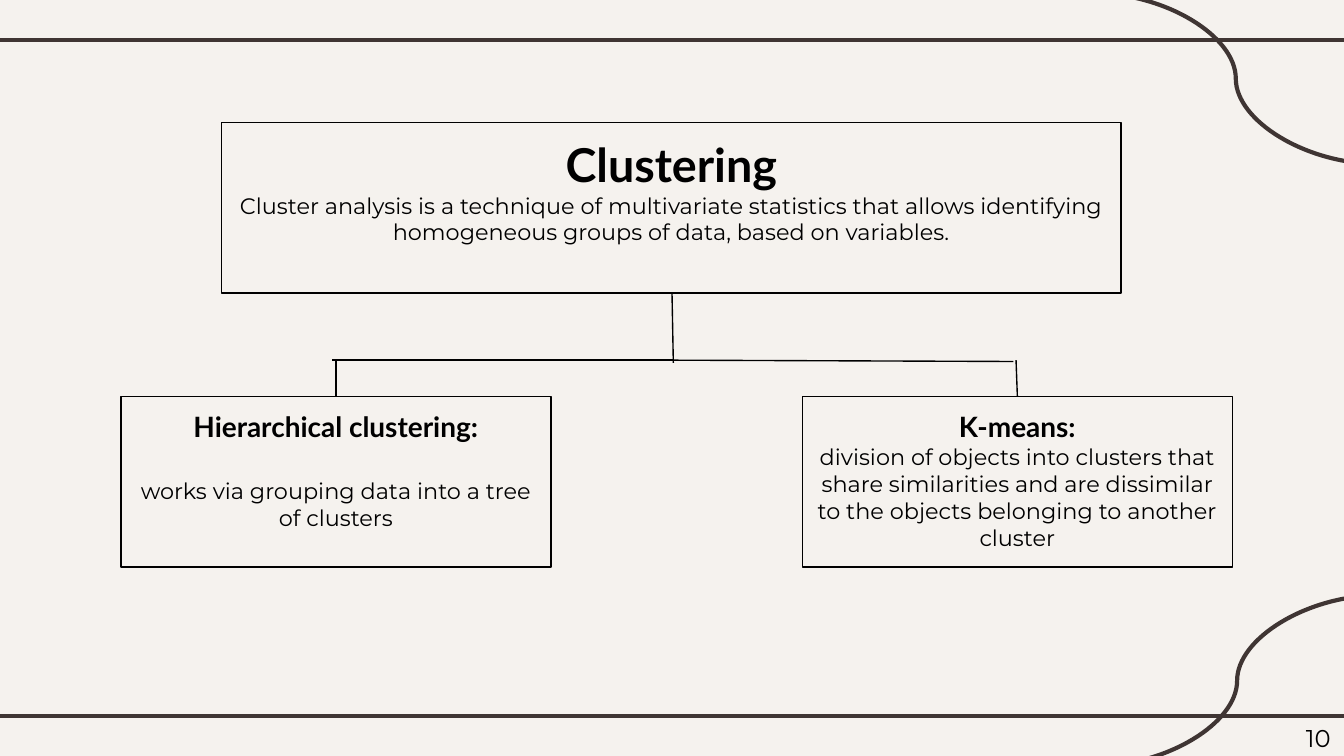
from lxml import etree
from pptx import Presentation
from pptx.dml.color import RGBColor
from pptx.enum.shapes import MSO_CONNECTOR
from pptx.enum.text import MSO_ANCHOR, MSO_AUTO_SIZE, PP_ALIGN
from pptx.oxml.ns import qn
from pptx.util import Inches, Pt

STRAIGHT, CURVE = MSO_CONNECTOR.STRAIGHT, MSO_CONNECTOR.CURVE
TOP, NO_FIT = MSO_ANCHOR.TOP, MSO_AUTO_SIZE.NONE
CENTER, RIGHT = PP_ALIGN.CENTER, PP_ALIGN.RIGHT

CREAM = RGBColor(0xF5, 0xF2, 0xEE)
BROWN = RGBColor(0x3F, 0x35, 0x33)
BLACK = RGBColor(0, 0, 0)

BODY = {"name": "Montserrat", "size": Pt(12), "bold": False}
PAGE_NUMBER = {"name": "Montserrat", "size": Pt(13), "bold": False}
BOX_HEIGHT = 1.27
CHILD_TOP, CHILD_WIDTH = 2.95, 3.2
BRANCH_Y = 2.68


def heading(size):
    return {"name": "Lato", "size": Pt(size), "bold": True}


def add_line(page, start, end, kind=STRAIGHT, color=BLACK, width=0.75):
    points = [Inches(value) for value in (*start, *end)]
    line = page.shapes.add_connector(kind, *points)
    line.line.color.rgb = color
    line.line.width = Pt(width)
    etree.SubElement(line._element.spPr, qn("a:effectLst"))


def place(box, left, top, width, height):
    values = {"left": left, "top": top, "width": width, "height": height}
    for name, value in values.items():
        setattr(box, name, Inches(value))


def write(box, paragraphs, alignment=CENTER):
    """Fill the box with (text, font format, points of space before) entries."""
    frame = box.text_frame
    settings = {"word_wrap": True, "auto_size": NO_FIT, "vertical_anchor": TOP}
    for side in ("left", "top", "right", "bottom"):
        settings["margin_" + side] = Inches(0.1)
    for name, value in settings.items():
        setattr(frame, name, value)
    for index, (text, style, gap) in enumerate(paragraphs):
        para = frame.add_paragraph() if index else frame.paragraphs[0]
        para.alignment = alignment
        para.space_before = Pt(gap)
        span = para.add_run()
        span.text = text
        span.font.color.rgb = BLACK
        for name, value in style.items():
            setattr(span.font, name, value)


def outline(box):
    box.line.color.rgb = BLACK
    box.line.width = Pt(0.75)


def add_child(page, left, title, description, gap=0):
    box = page.shapes.add_textbox(0, 0, 0, 0)
    place(box, left, CHILD_TOP, CHILD_WIDTH, BOX_HEIGHT)
    outline(box)
    write(box, [(title, heading(15), 0), (description, BODY, gap)])


def add_decoration(page):
    frame_line = {"color": BROWN, "width": 2.25}
    for y in (0.3, 5.33):
        add_line(page, (-0.08, y), (10.08, y), **frame_line)
    add_line(page, (8.14, -0.05), (10.25, 1.22), CURVE, **frame_line)
    add_line(page, (10.26, 4.43), (8.15, 5.7), CURVE, **frame_line)


def add_branches(page):
    trunk = (5.01, BRANCH_Y)
    add_line(page, (5, 2.18), (5.01, 2.7))
    add_line(page, trunk, (2.47, BRANCH_Y))
    add_line(page, trunk, (7.54, 2.69))
    add_line(page, (2.5, BRANCH_Y), (2.5, CHILD_TOP))
    add_line(page, (7.56, BRANCH_Y), (7.57, CHILD_TOP))


def main():
    deck = Presentation()
    deck.slide_width = Inches(10)
    deck.slide_height = deck.slide_width * 9 // 16
    page = deck.slides.add_slide(deck.slide_layouts[5])
    page.background.fill.solid()
    page.background.fill.fore_color.rgb = CREAM

    add_decoration(page)
    title = page.shapes.title
    place(title, 1.65, 0.91, 6.69, BOX_HEIGHT)
    outline(title)
    write(title, [
        ("Clustering", heading(25), 0),
        ("Cluster analysis is a technique of multivariate statistics that allows "
         "identifying homogeneous groups of data, based on variables.", BODY, 0),
    ])
    add_branches(page)
    add_child(page, 0.9, "Hierarchical clustering:",
              "works via grouping data into a tree of clusters", gap=18)
    add_child(page, 5.97, "K-means:",
              "division of objects into clusters that share similarities and are "
              "dissimilar to the objects belonging to another cluster")

    number = page.shapes.add_textbox(0, 0, 0, 0)
    place(number, 9.4, 5.28, 0.6, 0.43)
    write(number, [("10", PAGE_NUMBER, 0)], RIGHT)
    deck.save("out.pptx")


if __name__ == "__main__":
    main()
